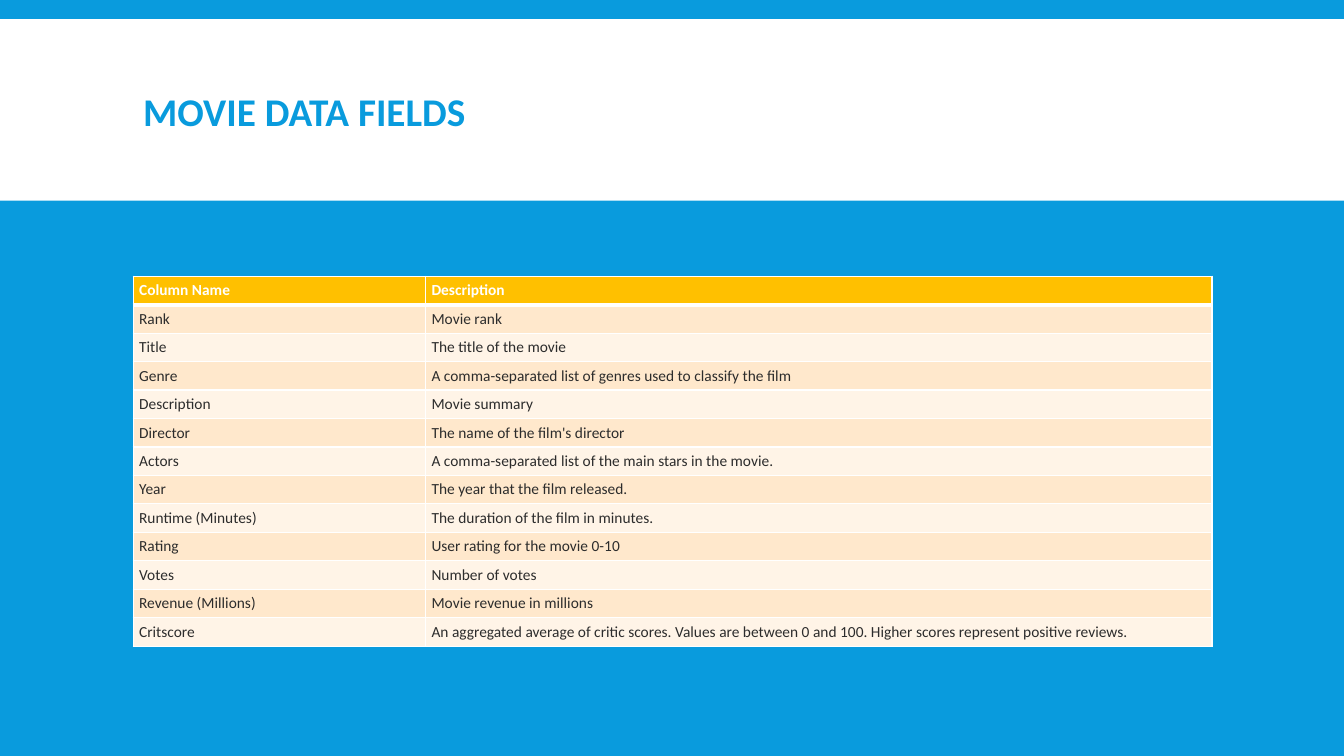
from dataclasses import dataclass

from lxml import etree
from pptx import Presentation
from pptx.dml.color import RGBColor
from pptx.enum import shapes, text
from pptx.oxml import ns
from pptx.util import Inches, Pt

TITLE = "MOVIE DATA FIELDS"
HEADER = ("Column Name", "Description")
FIELDS = [
    ("Rank", "Movie rank"),
    ("Title", "The title of the movie"),
    ("Genre", "A comma-separated list of genres used to classify the film"),
    ("Description", "Movie summary"),
    ("Director", "The name of the film's director"),
    ("Actors", "A comma-separated list of the main stars in the movie."),
    ("Year", "The year that the film released."),
    ("Runtime (Minutes)", "The duration of the film in minutes."),
    ("Rating", "User rating for the movie 0-10"),
    ("Votes", "Number of votes"),
    ("Revenue (Millions)", "Movie revenue in millions"),
    ("Critscore", "An aggregated average of critic scores. Values are between 0 and 100. "
                  "Higher scores represent positive reviews."),
]


@dataclass(frozen=True)
class Theme:
    font: str = "Calibri"
    title_size: int = 28
    table_size: int = 11
    blue: str = "099BDD"
    white: str = "FFFFFF"
    gold: str = "FFC000"
    ink: str = "2C2C2C"
    bands: tuple = ("FFE8CC", "FFF4E7")
    border: int = 1
    header_border: int = 3


THEME = Theme()
SLIDE_WIDTH, SLIDE_HEIGHT = 13.33, 7.5
LEFT, CONTENT_WIDTH = 1.32, 10.7
BAND_TOP, BAND_HEIGHT = 0.19, 1.8
TITLE_TOP, TITLE_HEIGHT = 0.31, 1.65
TABLE_TOP, TABLE_HEIGHT = 2.74, 3.67
COLUMN_WIDTHS = (2.9, 7.8)
CELL_MARGIN_X, CELL_MARGIN_Y = 0.06, 0.03


def paint(fill, color):
    fill.solid()
    fill.fore_color.rgb = RGBColor.from_string(color)


def style_text(paragraph, size, color, bold):
    for run in paragraph.runs:
        run.font.name = THEME.font
        run.font.size = Pt(size)
        run.font.bold = bold
        run.font.color.rgb = RGBColor.from_string(color)


def add_borders(cell, widths):
    properties = cell._tc.get_or_add_tcPr()
    for position, (side, width) in enumerate(widths.items()):
        line = etree.Element(ns.qn(f"a:ln{side}"), w=str(Pt(width)))
        solid = etree.SubElement(line, ns.qn("a:solidFill"))
        etree.SubElement(solid, ns.qn("a:srgbClr"), val=THEME.white)
        properties.insert(position, line)


def add_title(slide):
    title = slide.shapes.title
    title.left, title.top = Inches(LEFT), Inches(TITLE_TOP)
    title.width, title.height = Inches(CONTENT_WIDTH), Inches(TITLE_HEIGHT)
    frame = title.text_frame
    frame.text = TITLE
    frame.auto_size = text.MSO_AUTO_SIZE.NONE
    frame.vertical_anchor = text.MSO_ANCHOR.MIDDLE
    paragraph = frame.paragraphs[0]
    paragraph.alignment = text.PP_ALIGN.LEFT
    paragraph.line_spacing = 0.85
    style_text(paragraph, THEME.title_size, THEME.blue, True)

    band = slide.shapes.add_shape(
        shapes.MSO_SHAPE.RECTANGLE, 0, Inches(BAND_TOP), Inches(SLIDE_WIDTH), Inches(BAND_HEIGHT))
    band.shadow.inherit = False
    paint(band.fill, THEME.white)
    band.line.fill.background()
    title._element.addprevious(band._element)


def fill_cell(cell, value, row_index):
    is_header = row_index == 0
    cell.text = value
    cell.vertical_anchor = text.MSO_ANCHOR.MIDDLE
    cell.margin_left = cell.margin_right = Inches(CELL_MARGIN_X)
    cell.margin_top = cell.margin_bottom = Inches(CELL_MARGIN_Y)
    paint(cell.fill, THEME.gold if is_header else THEME.bands[(row_index - 1) % 2])
    style_text(cell.text_frame.paragraphs[0], THEME.table_size,
               THEME.white if is_header else THEME.ink, is_header)
    add_borders(cell, {
        "L": THEME.border,
        "R": THEME.border,
        "T": THEME.header_border if row_index == 1 else THEME.border,
        "B": THEME.header_border if is_header else THEME.border,
    })


def add_field_table(slide):
    rows = [HEADER, *FIELDS]
    table = slide.shapes.add_table(
        len(rows), len(HEADER), Inches(LEFT), Inches(TABLE_TOP),
        Inches(CONTENT_WIDTH), Inches(TABLE_HEIGHT)).table
    for column, width in zip(table.columns, COLUMN_WIDTHS):
        column.width = Inches(width)
    for row_index, values in enumerate(rows):
        table.rows[row_index].height = Inches(TABLE_HEIGHT / len(rows))
        for column_index, value in enumerate(values):
            fill_cell(table.cell(row_index, column_index), value, row_index)


def main():
    presentation = Presentation()
    presentation.slide_width = Inches(SLIDE_WIDTH)
    presentation.slide_height = Inches(SLIDE_HEIGHT)
    slide = presentation.slides.add_slide(presentation.slide_layouts.get_by_name("Title Only"))
    paint(slide.background.fill, THEME.blue)
    add_title(slide)
    add_field_table(slide)
    presentation.save("out.pptx")


if __name__ == "__main__":
    main()
